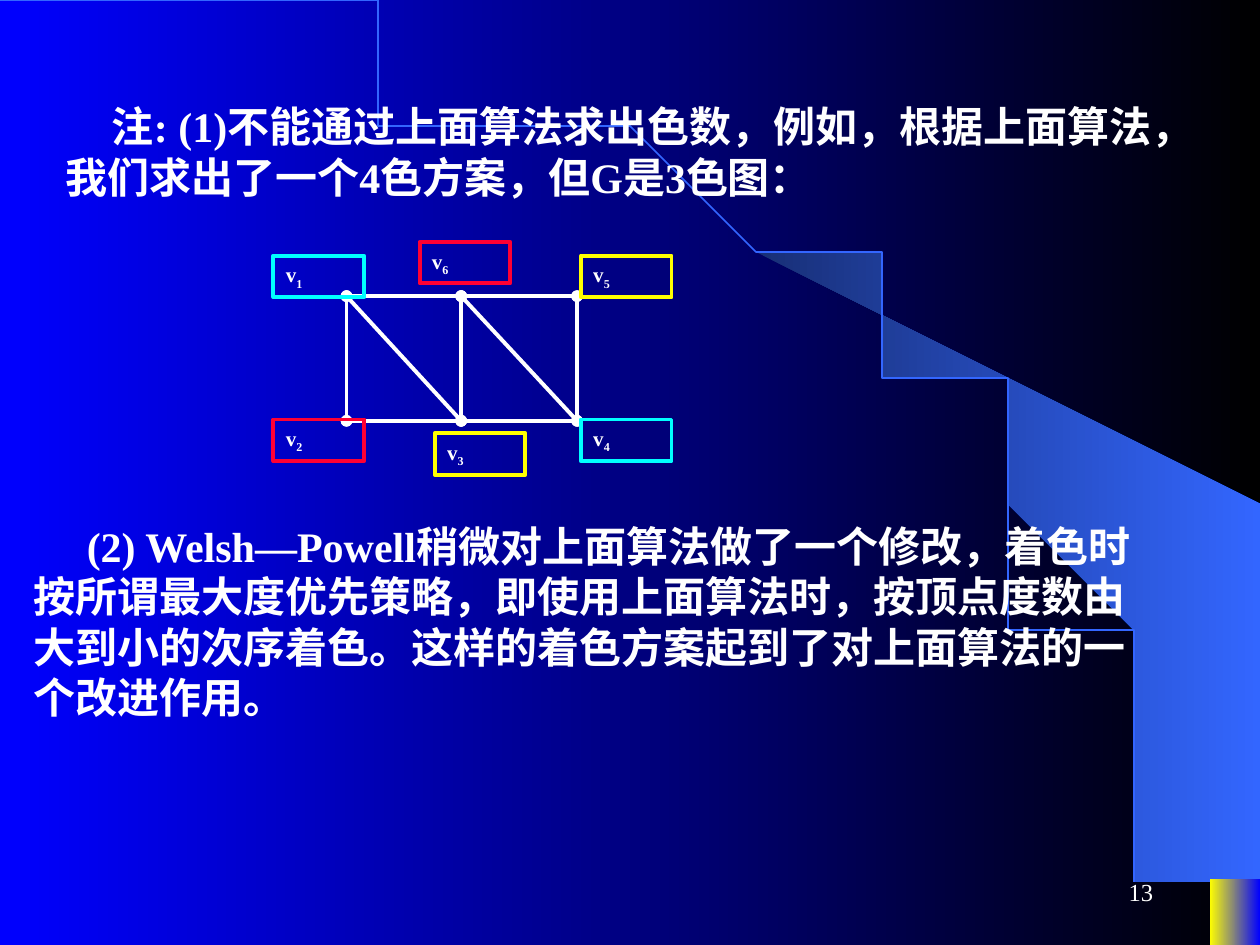
from lxml.etree import SubElement
from pptx import Presentation
from pptx.dml.color import RGBColor
from pptx.enum.shapes import MSO_CONNECTOR, MSO_SHAPE
from pptx.enum.text import MSO_ANCHOR, MSO_AUTO_SIZE, PP_ALIGN
from pptx.oxml.ns import qn
from pptx.util import Inches, Pt

WHITE = RGBColor(0xFF, 0xFF, 0xFF)
BLACK = RGBColor(0x00, 0x00, 0x00)
BLUE = RGBColor(0x00, 0x00, 0xFF)
SKY = RGBColor(0x33, 0x66, 0xFF)
NAVY = RGBColor(0x18, 0x2F, 0x76)
YELLOW = RGBColor(0xFF, 0xFF, 0x00)
CYAN = RGBColor(0x00, 0xFF, 0xFF)
RED = RGBColor(0xFF, 0x00, 0x33)
FONT = "Times New Roman"

# Content: notes as (left, top, height, first-line indent, text)
NOTES = [
    (0.42, 0.75, 0.9, 0.37,
     "注: (1)不能通过上面算法求出色数，例如，根据上面算法，我们求出了一个4色方案，但G是3色图："),
    (0.17, 4.08, 1.7, 0.42,
     "(2) Welsh—Powell稍微对上面算法做了一个修改，着色时按所谓最大度优先策略，"
     "即使用上面算法时，按顶点度数由大到小的次序着色。这样的着色方案起到了对上面算法的一个改进作用。"),
]
PAGE_NUMBER = "13"

# Graph: vertex grid, edges between vertices, colour labels
COLUMNS, ROWS = (2.75, 3.66, 4.58), (2.35, 3.34)
VERTICES = {1: (0, 0), 2: (0, 1), 3: (1, 1), 4: (2, 1), 5: (2, 0), 6: (1, 0)}
EDGES = [(1, 2), (1, 6), (6, 5), (2, 3), (3, 4), (6, 3), (5, 4), (1, 3), (6, 4)]
LABELS = [(5, 4.61, 2.03, YELLOW), (4, 4.61, 3.33, CYAN), (3, 3.45, 3.44, YELLOW),
          (2, 2.17, 3.33, RED), (1, 2.17, 2.03, CYAN), (6, 3.33, 1.92, RED)]

# Decoration
WEDGE = [(9.2, 7.48), (9.99, 7.49), (9.99, 4.23), (5.89, 1.73), (6.24, 1.99),
         (6.53, 2.22), (6.85, 2.5), (7.16, 2.8), (7.62, 3.3), (8.03, 3.84),
         (8.32, 4.31), (8.58, 4.79), (8.78, 5.28), (8.93, 5.72), (9.03, 6.09),
         (9.13, 6.56), (9.17, 6.96)]
ARC = [(0, 0), (5.08, 0), (9.2, 3.35), (9.2, 7.49)]
ARC_STEPS = 60


def set_gradient(fill, *colors):
    fill.gradient()
    fill.gradient_angle = 0
    for stop, color in zip(fill.gradient_stops, colors):
        stop.color.rgb = color


def bezier(points, t):
    weights = ((1 - t) ** 3, 3 * t * (1 - t) ** 2, 3 * t * t * (1 - t), t ** 3)
    return tuple(sum(w * pt[i] for w, pt in zip(weights, points)) for i in (0, 1))


def add_outline(shapes, points, close):
    builder = shapes.build_freeform(*points[0], scale=Inches(1))
    builder.add_line_segments(points[1:], close=close)
    sp = builder.convert_to_shape()
    sp.shadow.inherit = False
    return sp


def add_run(p, text, size, bold=True):
    r = p.add_run()
    r.text = text
    r.font.name, r.font.size, r.font.bold = FONT, Pt(size), bold
    r.font.color.rgb = WHITE
    return r


def add_edge(shapes, start, end):
    line = shapes.add_connector(MSO_CONNECTOR.STRAIGHT, *map(Inches, start + end))
    line.line.color.rgb = WHITE
    line.line.width = Pt(2.25)
    ln = line.line._get_or_add_ln()
    for tag in ("a:headEnd", "a:tailEnd"):
        SubElement(ln, qn(tag), type="oval")
    SubElement(line._element.spPr, qn("a:effectLst"))


def add_label(shapes, number, left, top, color):
    sp = shapes.add_shape(MSO_SHAPE.RECTANGLE, Inches(left), Inches(top),
                          Inches(0.72), Inches(0.33))
    sp.shadow.inherit = False
    sp.fill.background()
    sp.line.color.rgb = color
    sp.line.width = Pt(2.25)
    tf = sp.text_frame
    tf.word_wrap = True
    tf.auto_size = MSO_AUTO_SIZE.SHAPE_TO_FIT_TEXT
    tf.vertical_anchor = MSO_ANCHOR.TOP
    p = tf.paragraphs[0]
    p.alignment = PP_ALIGN.LEFT
    add_run(p, "v", 12)
    subscript = add_run(p, str(number), 12)
    subscript._r.get_or_add_rPr().set("baseline", "-25000")


def add_text(shapes, left, top, width, height):
    tf = shapes.add_textbox(*map(Inches, (left, top, width, height))).text_frame
    tf.word_wrap = True
    return tf


def main():
    prs = Presentation()
    prs.slide_width, prs.slide_height = Inches(10), Inches(7.5)
    slide = prs.slides.add_slide(prs.slide_layouts[6])
    shapes = slide.shapes

    # Background and decoration
    set_gradient(slide.background.fill, BLUE, BLACK)
    wedge = add_outline(shapes, WEDGE, close=True)
    set_gradient(wedge.fill, NAVY, SKY)
    wedge.line.fill.background()
    curve = [bezier(ARC, i / ARC_STEPS) for i in range(ARC_STEPS + 1)]
    arc = add_outline(shapes, curve, close=False)
    arc.fill.background()
    arc.line.color.rgb = SKY
    arc.line.width = Pt(1)
    corner = shapes.add_shape(MSO_SHAPE.RECTANGLE, Inches(9.6), Inches(6.98),
                              Inches(0.4), Inches(0.52))
    corner.shadow.inherit = False
    set_gradient(corner.fill, YELLOW, BLUE)
    corner.line.fill.background()

    # Page number
    tf = add_text(shapes, 7.17, 6.83, 2.08, 0.5)
    tf.vertical_anchor = MSO_ANCHOR.MIDDLE
    tf.paragraphs[0].alignment = PP_ALIGN.RIGHT
    add_run(tf.paragraphs[0], PAGE_NUMBER, 14, bold=False)

    # Coloured graph
    place = {v: (COLUMNS[c], ROWS[r]) for v, (c, r) in VERTICES.items()}
    for a, b in EDGES:
        add_edge(shapes, place[a], place[b])
    for label in LABELS:
        add_label(shapes, *label)

    # Notes
    for left, top, height, indent, text in NOTES:
        tf = add_text(shapes, left, top, 9.08, height)
        tf.auto_size = MSO_AUTO_SIZE.SHAPE_TO_FIT_TEXT
        p = tf.paragraphs[0]
        p._p.get_or_add_pPr().set("indent", str(Inches(indent)))
        add_run(p, text, 24)

    prs.save("out.pptx")


if __name__ == "__main__":
    main()
